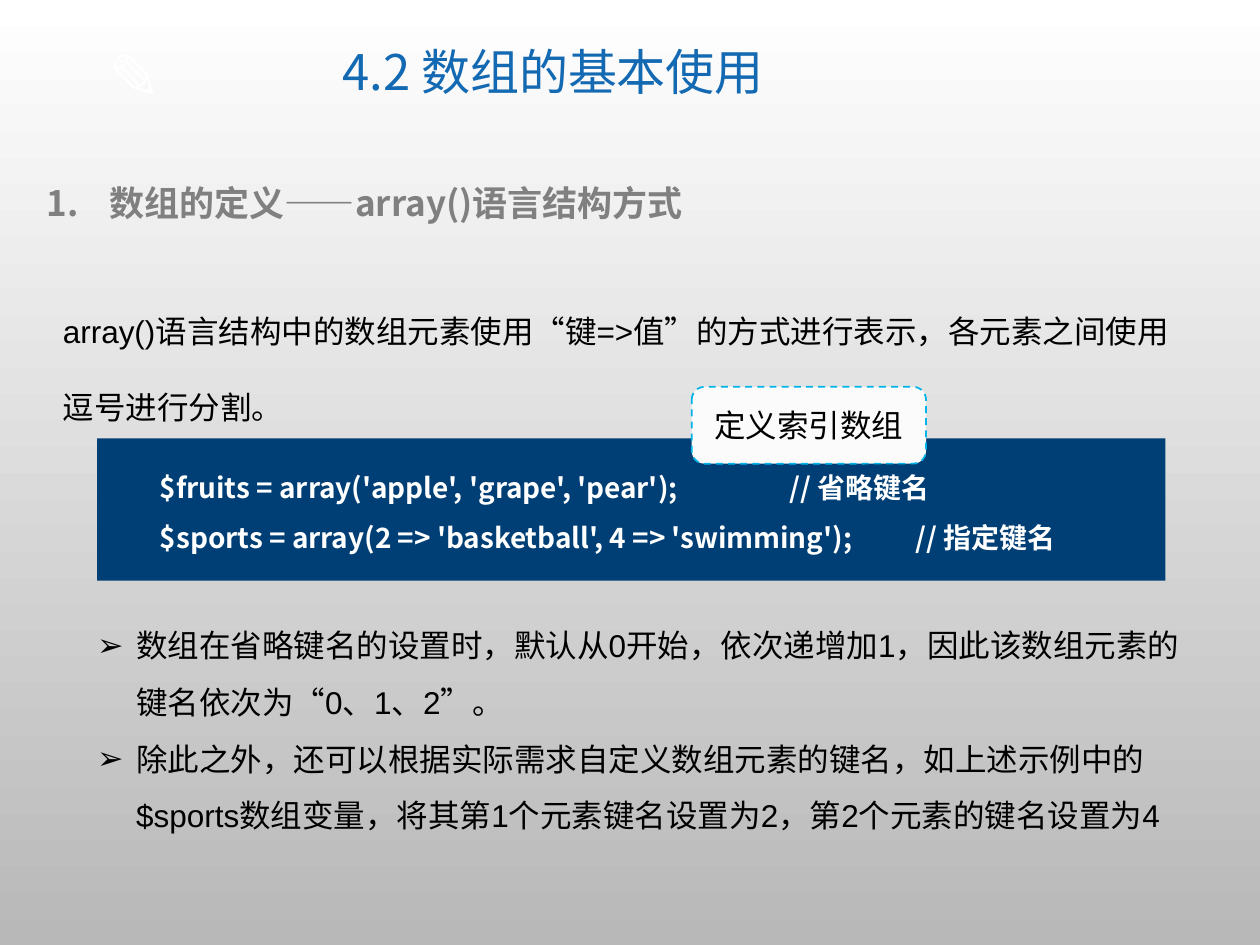
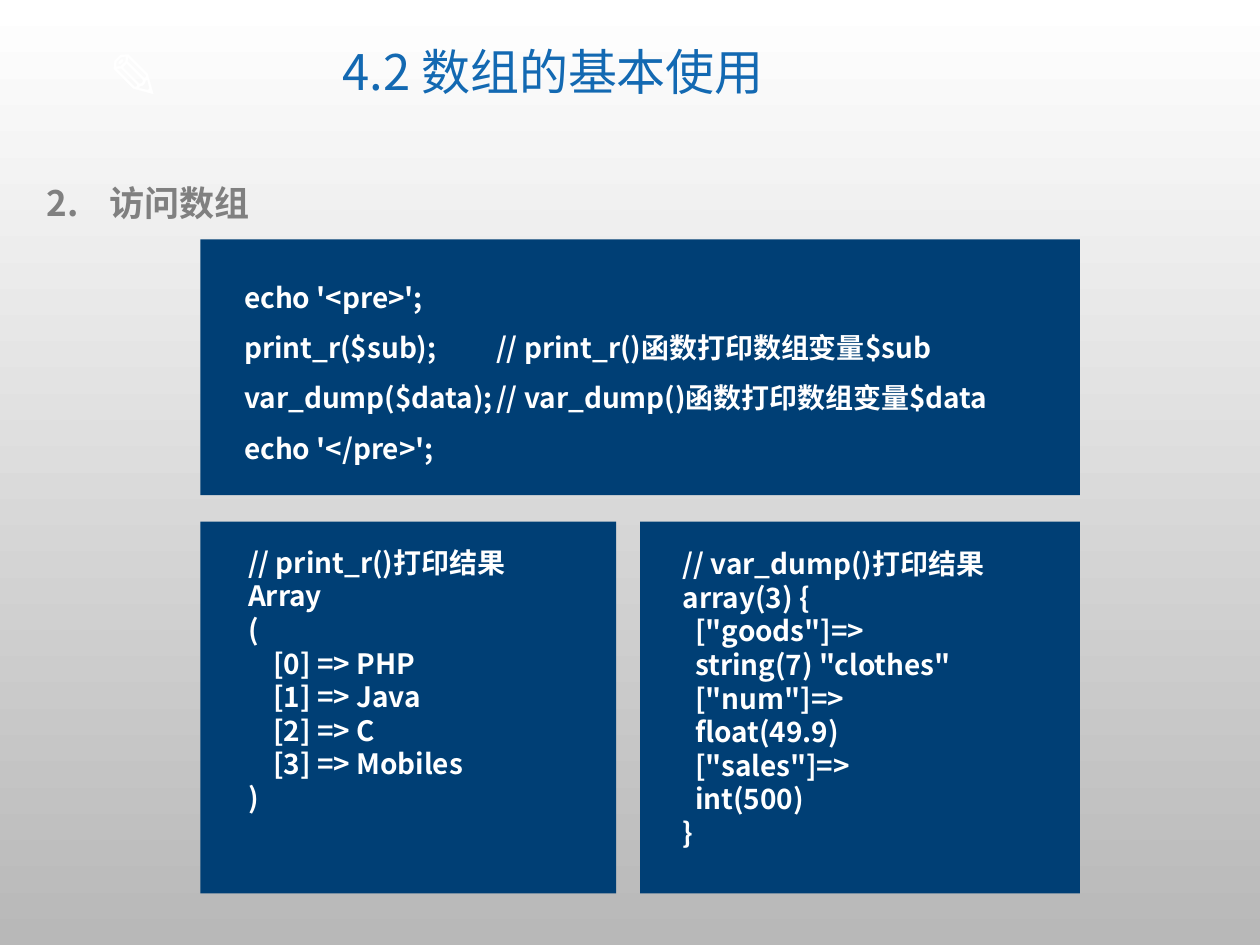
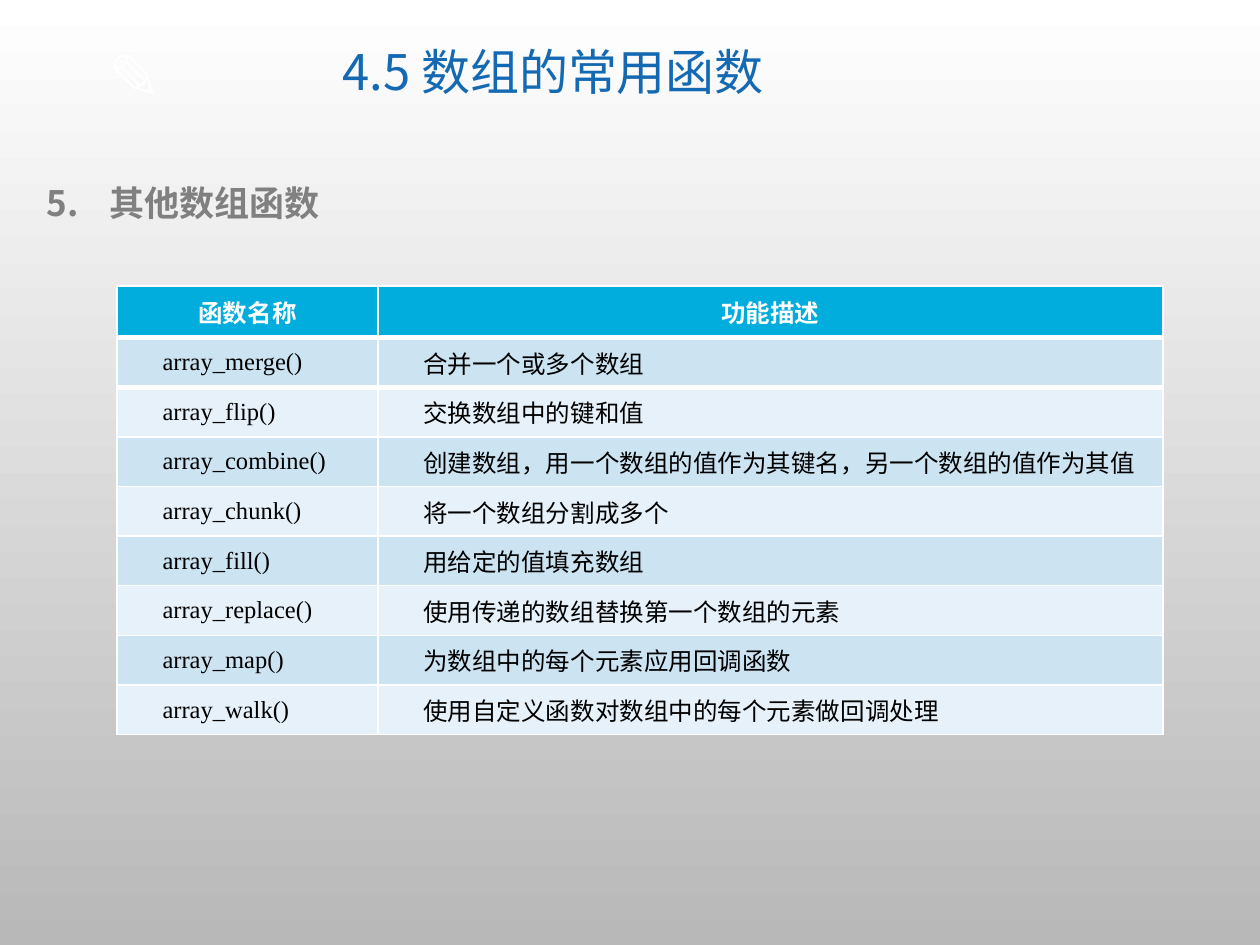
from dataclasses import dataclass
from typing import NamedTuple

from pptx import Presentation
from pptx.dml.color import RGBColor
from pptx.enum.dml import MSO_LINE
from pptx.enum.lang import MSO_LANGUAGE_ID as Language
from pptx.enum.shapes import MSO_SHAPE as Shape
from pptx.enum.text import MSO_ANCHOR as Anchor, MSO_AUTO_SIZE as AutoSize, PP_ALIGN as Align
from pptx.oxml import parse_xml
from pptx.oxml.ns import nsdecls, qn
from pptx.oxml.xmlchemy import OxmlElement
from pptx.util import Emu, Pt

PX = 9144  # 100 px to the inch
CJK = "Noto Sans CJK SC"


class Style(NamedTuple):
    size: int
    color: str
    font: str = CJK
    bold: bool = False
    spacing: float = 1.0
    align: Align = Align.LEFT


@dataclass(frozen=True)
class Theme:
    top: str = "FFFFFF"
    bottom: str = "B8B8B8"
    panel: str = "003F75"
    callout: str = "FBFBFB"
    dash: str = "00B4E9"
    rule: str = "FFFFFF"
    header_row: str = "00ADDC"
    rows: tuple = ("CCE3F2", "E7F1F9")
    pencil: Style = Style(36, "FFFFFF", bold=True)
    title: Style = Style(28, "1369B2", spacing=0.9, align=Align.CENTER)
    heading: Style = Style(20, "808080", bold=True)
    intro: Style = Style(18, "000000", "Arial", spacing=2.0)
    bullets: Style = Style(18, "000000", "Arial", spacing=1.5)
    note: Style = Style(18, "000000", "Calibri", align=Align.CENTER)
    code: Style = Style(16, "FFFFFF", bold=True, spacing=1.5)
    output: Style = Style(16, "FFFFFF", bold=True)
    header_name: Style = Style(14, "FFFFFF", "Roboto", True, align=Align.CENTER)
    header_use: Style = Style(14, "FFFFFF", bold=True, align=Align.CENTER)
    cell: Style = Style(14, "000000", "Times New Roman")


THEME = Theme()


def box(*lengths):
    return [Emu(length * PX) for length in lengths]


def write(frame, lines, style, left=0, first=0, bullet=None, stops=()):
    """Add each line as a paragraph; bullet is a tag with its attributes, lengths are px."""
    for number, line in enumerate(lines):
        first_empty = number == 0 and not frame.paragraphs[0].runs
        para = frame.paragraphs[0] if first_empty else frame.add_paragraph()
        para.alignment, para.line_spacing = style.align, style.spacing
        para.space_before = Pt(0)
        props = para._p.get_or_add_pPr()
        props.set("marL", str(left * PX))
        props.set("indent", str(first * PX))
        if bullet:
            tag, attributes = bullet
            mark = OxmlElement(tag)
            for key, value in attributes.items():
                mark.set(key, value)
            props.append(mark)
        if stops:
            tabs = OxmlElement("a:tabLst")
            for stop in stops:
                tab = OxmlElement("a:tab")
                tab.set("pos", str(stop * PX))
                tab.set("algn", "l")
                tabs.append(tab)
            props.append(tabs)
        span = para.add_run()
        span.text = line
        font = span.font
        font.name, font.size, font.bold = style.font, Pt(style.size), style.bold
        font.color.rgb = RGBColor.from_string(style.color)
        font.language_id = Language.SIMPLIFIED_CHINESE
        east_asian = OxmlElement("a:ea")
        east_asian.set("typeface", CJK)
        font._element.find(qn("a:latin")).addnext(east_asian)


deck = Presentation()
deck.slide_width, deck.slide_height = box(1000, 750)
master = deck.slide_master

# Shared background
background = master.background.fill
background.gradient()
background.gradient_angle = 270
for stop, color in zip(background.gradient_stops, (THEME.top, THEME.bottom)):
    stop.color.rgb = RGBColor.from_string(color)

# Titles and numbered headings
ONE_BODY, TWO_BODIES = 1, 3
pages = []
for layout, title, number, heading in (
    (TWO_BODIES, "4.2 数组的基本使用", 1, "数组的定义——array()语言结构方式"),
    (ONE_BODY, "4.2 数组的基本使用", 2, "访问数组"),
    (ONE_BODY, "4.5 数组的常用函数", 5, "其他数组函数"),
):
    page = deck.slides.add_slide(deck.slide_layouts[layout])
    pages.append(page)
    numbering = ("a:buAutoNum", {"type": "arabicPeriod", "startAt": str(number)})
    name, body = page.shapes.title, page.placeholders[1]
    name.left, name.top, name.width, name.height = box(181, 17, 516, 85)
    body.left, body.top, body.width, body.height = box(27, 139, 922, 44)
    for holder in (name, body):
        holder.text_frame.auto_size = AutoSize.NONE
    name.text_frame.vertical_anchor = Anchor.MIDDLE
    write(name.text_frame, [title], THEME.title)
    write(body.text_frame, [heading], THEME.heading, 50, -50, numbering)
definition, access, functions = pages

# The pencil belongs to the master, so every page shows it
pencil = definition.shapes.add_textbox(*box(76, 24, 86, 71))
pencil.text_frame.word_wrap = False
write(pencil.text_frame, ["✎"], THEME.pencil)
pencil.element.nvSpPr.cNvPr.set("id", "20")
master.element.cSld.spTree.append(pencil.element)

# Introduction
intro = definition.shapes.add_textbox(*box(40, 213, 919, 122)).text_frame
intro.word_wrap = True
write(intro, ["array()语言结构中的数组元素使用“键=>值”的方式进行表示，各元素之间使用逗号进行分割。"], THEME.intro)

# Code panels: page, panel box, text box, style, lines of (indent, tab stops, text)
for page, panel_box, text_box, style, lines in (
    (definition, (77, 348, 848, 113), (117, 355, 793, 91), THEME.code, (
        (0, (450, 500), "$fruits = array('apple', 'grape', 'pear');\t\t// 省略键名"),
        (0, (600,), "$sports = array(2 => 'basketball', 4 => 'swimming');\t// 指定键名"),
    )),
    (access, (159, 190, 698, 203), (184, 204, 647, 172), THEME.code, (
        (0, (), "echo '<pre>';"),
        (0, (200,), "print_r($sub);\t// print_r()函数打印数组变量$sub"),
        (0, (200,), "var_dump($data);\t// var_dump()函数打印数组变量$data"),
        (0, (), "echo '</pre>';"),
    )),
    (access, (159, 414, 330, 295), (187, 428, 301, 226), THEME.output, (
        (0, (), "// print_r()打印结果"),
        (0, (), "Array"),
        (0, (), "("),
        (20, (), "[0] => PHP"),
        (20, (), "[1] => Java"),
        (20, (), "[2] => C"),
        (20, (), "[3] => Mobiles"),
        (0, (), ")"),
    )),
    (access, (508, 414, 349, 295), (532, 429, 285, 252), THEME.output, (
        (0, (), "// var_dump()打印结果"),
        (0, (), "array(3) {"),
        (10, (), '["goods"]=>'),
        (10, (), 'string(7) "clothes"'),
        (10, (), '["num"]=>'),
        (10, (), "float(49.9)"),
        (10, (), '["sales"]=>'),
        (10, (), "int(500)"),
        (0, (), "}"),
    )),
):
    group = page.shapes.add_group_shape().shapes
    panel = group.add_shape(Shape.RECTANGLE, *box(*panel_box))
    panel.shadow.inherit = False
    panel.fill.solid()
    panel.fill.fore_color.rgb = RGBColor.from_string(THEME.panel)
    panel.line.fill.background()
    code = group.add_textbox(*box(*text_box)).text_frame
    code.word_wrap = True
    for indent, stops, line in lines:
        write(code, [line], style, left=indent, stops=stops)

# Rules for key names
rules = definition.placeholders[2]
rules.left, rules.top, rules.width, rules.height = box(67, 477, 883, 192)
rules.text_frame.auto_size = AutoSize.NONE
write(rules.text_frame, [
    "数组在省略键名的设置时，默认从0开始，依次递增加1，因此该数组元素的键名依次为“0、1、2”。",
    "除此之外，还可以根据实际需求自定义数组元素的键名，如上述示例中的$sports数组变量，"
    "将其第1个元素键名设置为2，第2个元素的键名设置为4",
], THEME.bullets, 31, -31, ("a:buChar", {"char": "➢"}))

# Callout over the first code panel
callout = definition.shapes.add_shape(Shape.ROUNDED_RECTANGLE, *box(549, 307, 186, 61))
callout.shadow.inherit = False
callout.fill.solid()
callout.fill.fore_color.rgb = RGBColor.from_string(THEME.callout)
callout.line.color.rgb = RGBColor.from_string(THEME.dash)
callout.line.width = Pt(1)
callout.line.dash_style = MSO_LINE.DASH
callout.text_frame.vertical_anchor = Anchor.MIDDLE
write(callout.text_frame, ["定义索引数组"], THEME.note)

# Function table
entries = (
    ("函数名称", "功能描述"),
    ("array_merge()", "合并一个或多个数组"),
    ("array_flip()", "交换数组中的键和值"),
    ("array_combine()", "创建数组，用一个数组的值作为其键名，另一个数组的值作为其值"),
    ("array_chunk()", "将一个数组分割成多个"),
    ("array_fill()", "用给定的值填充数组"),
    ("array_replace()", "使用传递的数组替换第一个数组的元素"),
    ("array_map()", "为数组中的每个元素应用回调函数"),
    ("array_walk()", "使用自定义函数对数组中的每个元素做回调处理"),
)
table = functions.shapes.add_table(len(entries), 2, *box(93, 227, 830, 356)).table
for column, width in zip(table.columns, box(207, 623)):
    column.width = width
for index, entry in enumerate(entries):
    table.rows[index].height = Emu((315 * PX) // 8 if index else 41 * PX)
    fill = THEME.rows[(index - 1) % 2] if index else THEME.header_row
    styles = (THEME.cell, THEME.cell) if index else (THEME.header_name, THEME.header_use)
    for column, (text, style) in enumerate(zip(entry, styles)):
        cell = table.cell(index, column)
        cell.fill.solid()
        cell.fill.fore_color.rgb = RGBColor.from_string(fill)
        cell.vertical_anchor = Anchor.MIDDLE
        cell.margin_left, cell.margin_top, cell.margin_right, cell.margin_bottom = box(7, 0, 7, 0)
        write(cell.text_frame, [text], style, first=29 if index else 0)
        if index < 2:  # thick rule between the header and the first entry
            side = "lnT" if index else "lnB"
            cell._tc.get_or_add_tcPr().insert(0, parse_xml(
                f'<a:{side} {nsdecls("a")} w="{Pt(3)}"><a:solidFill>'
                f'<a:srgbClr val="{THEME.rule}"/></a:solidFill></a:{side}>'))

deck.save("out.pptx")
